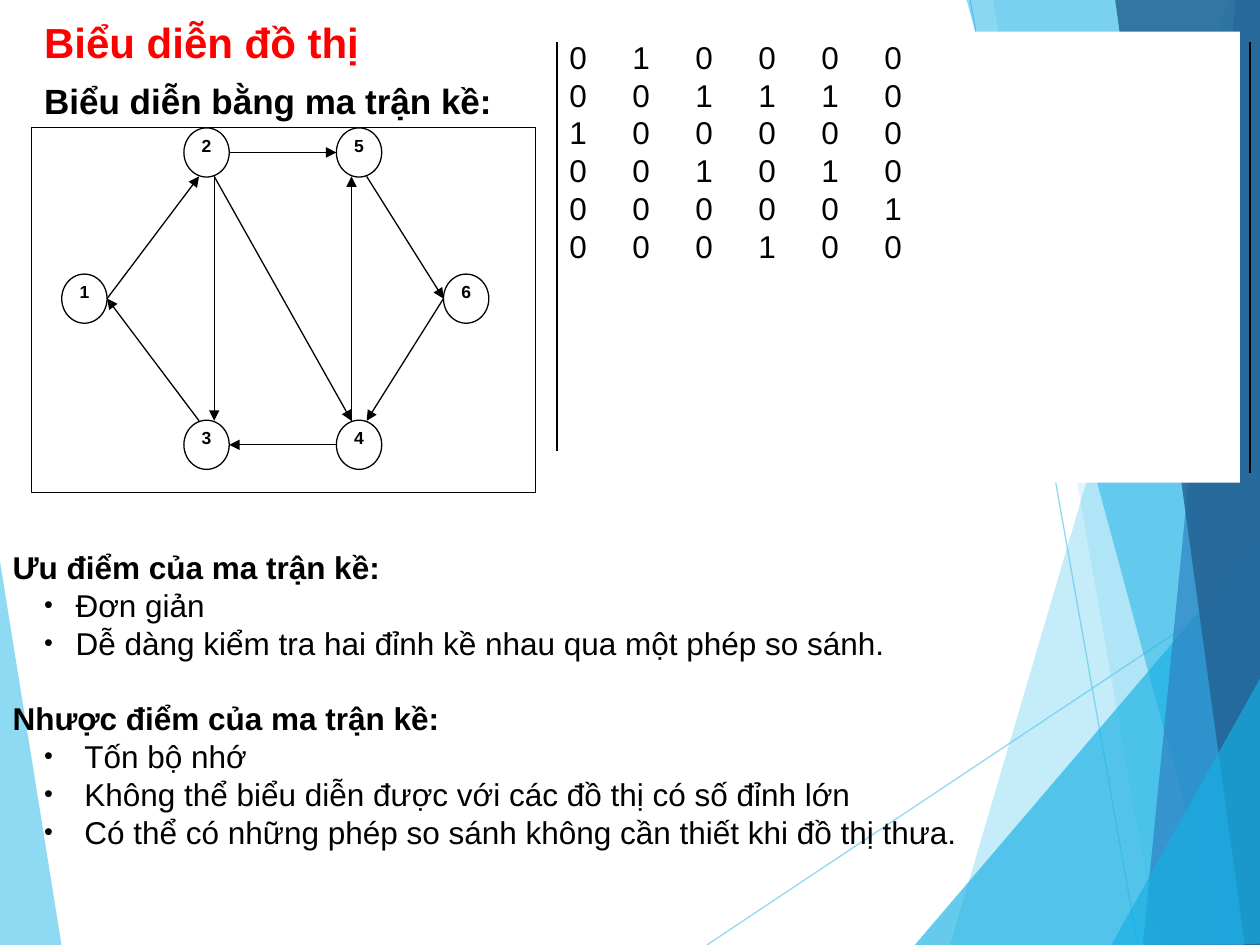
from typing import NamedTuple

from lxml.etree import SubElement
from pptx import Presentation
from pptx.dml.color import RGBColor
from pptx.enum.shapes import MSO_CONNECTOR, MSO_SHAPE
from pptx.enum.text import MSO_ANCHOR, MSO_AUTO_SIZE, PP_ALIGN
from pptx.oxml.ns import qn
from pptx.util import Inches, Pt

RECT, OVAL = MSO_SHAPE.RECTANGLE, MSO_SHAPE.OVAL
LEFT, CENTER = PP_ALIGN.LEFT, PP_ALIGN.CENTER
TOP, MIDDLE = MSO_ANCHOR.TOP, MSO_ANCHOR.MIDDLE
STRAIGHT = MSO_CONNECTOR.STRAIGHT
NO_FIT = MSO_AUTO_SIZE.NONE
BLACK, WHITE, RED = "000000", "FFFFFF", "FF0000"
SKY, AZURE = "5FCBEF", "17B0E4"

Point = tuple[float, float]


class Facet(NamedTuple):
    color: str
    alpha: int
    points: list[Point]


class Line(NamedTuple):
    text: str
    size: float = 18
    bold: bool = False
    color: str = BLACK
    before: float = 0
    align: PP_ALIGN = LEFT
    indent: float = 0


class Edge(NamedTuple):
    start: int
    out: str
    end: int
    into: str


FACETS = [
    Facet(SKY, 70, [(-0.01, 4.39), (0.49, 7.51), (-0.01, 7.5)]),
    Facet(SKY, 36, [(9.75, 0), (7.54, 7.5), (10.02, 7.51), (10.01, 0.01)]),
    Facet(SKY, 20, [(7.88, -0.01), (9.19, 7.5), (10.01, 7.5), (10.01, -0.01)]),
    Facet(AZURE, 66, [(7.26, 7.5), (10, 4.29), (10.01, 7.5)]),
    Facet(AZURE, 50, [(7.67, -0.01), (9.7, 7.5), (10.01, 7.49), (10.01, -0.01)]),
    Facet("2E83C3", 70, [(9.81, -0.01), (9.07, 7.5), (10.01, 7.5), (10, -0.01)]),
    Facet("236292", 82, [(8.85, -0.01), (9.88, 7.5), (10.02, 7.5), (10, -0.01)]),
    Facet(AZURE, 66, [(8.82, 7.5), (10.02, 5.35), (10.02, 7.49)]),
]
RAYS = [((5.61, 7.5), (10.01, 4.57)), ((7.7, 0), (9.03, 7.5))]

HEAD = [
    Line("Biểu diễn đồ thị", 24, True, RED),
    Line("Biểu diễn bằng ma trận kề:", 20, True, before=7.5),
]
NOTES = [
    Line("Ưu điểm của ma trận kề:", bold=True),
    Line("Đơn giản", indent=0.5),
    Line("Dễ dàng kiểm tra hai đỉnh kề nhau qua một phép so sánh.", indent=0.5),
    Line("Nhược điểm của ma trận kề:", bold=True, before=21.6),
    Line("Tốn bộ nhớ", indent=0.57),
    Line("Không thể biểu diễn được với các đồ thị có số đỉnh lớn", indent=0.57),
    Line("Có thể có những phép so sánh không cần thiết khi đồ thị thưa.", indent=0.57),
]
MATRIX = ["010000", "001110", "100000", "001010", "000001", "000100"]

NODE_W, NODE_H = 0.36, 0.39
NODES = {1: (0.67, 2.37), 2: (1.64, 1.21), 3: (1.64, 3.53),
         4: (2.85, 3.53), 5: (2.85, 1.21), 6: (3.7, 2.37)}
PORTS = {"E": (0.18, 0), "W": (-0.18, 0), "NE": (0.06, -0.19),
         "NW": (-0.06, -0.19), "SE": (0.06, 0.19), "SW": (-0.06, 0.19)}
EDGES = [
    Edge(1, "E", 2, "SW"), Edge(2, "E", 5, "W"), Edge(3, "NW", 1, "E"),
    Edge(4, "W", 3, "E"), Edge(6, "W", 4, "NE"), Edge(5, "SE", 6, "W"),
    Edge(2, "SE", 3, "NE"), Edge(4, "NW", 5, "SW"), Edge(2, "SE", 4, "NW"),
]


def rgb(color: str) -> RGBColor:
    return RGBColor.from_string(color)


def fade(shape, alpha: int) -> None:
    """Set the opacity, in percent, of the shape's only colour."""
    tint = next(shape.element.spPr.iter(qn("a:srgbClr")))
    SubElement(tint, qn("a:alpha"), val=str(alpha * 1000))


def link(shapes, start: Point, end: Point, color: str = BLACK):
    wire = shapes.add_connector(STRAIGHT, *map(Inches, start + end))
    wire.line.color.rgb = rgb(color)
    wire.line.width = Pt(0.75)
    SubElement(wire.element.spPr, qn("a:effectLst"))
    return wire


def arrow(shapes, edge: Edge) -> None:
    ends = []
    for node, port in ((edge.start, edge.out), (edge.end, edge.into)):
        (x, y), (dx, dy) = NODES[node], PORTS[port]
        ends.append((x + dx, y + dy))
    wire = link(shapes, *ends)
    SubElement(wire.element.spPr.find(qn("a:ln")), qn("a:tailEnd"), type="triangle")


def draw_facet(shapes, facet: Facet) -> None:
    start, *rest = [(Inches(x), Inches(y)) for x, y in facet.points]
    path = shapes.build_freeform(*start)
    path.add_line_segments(rest)
    shape = path.convert_to_shape()
    shape.shadow.inherit = False
    shape.fill.solid()
    shape.fill.fore_color.rgb = rgb(facet.color)
    shape.line.fill.background()
    fade(shape, facet.alpha)


def add_box(shapes, kind, x: float, y: float, w: float, h: float,
            fill: str = "", line: str = ""):
    box = shapes.add_shape(kind, *map(Inches, (x, y, w, h)))
    box.shadow.inherit = False
    if fill:
        box.fill.solid()
        box.fill.fore_color.rgb = rgb(fill)
    else:
        box.fill.background()
    if line:
        box.line.color.rgb = rgb(line)
        box.line.width = Pt(0.75)
    else:
        box.line.fill.background()
    return box


def write(shape, lines: list[Line], anchor: MSO_ANCHOR = TOP, inset: bool = True) -> None:
    frame = shape.text_frame
    frame.word_wrap = True
    frame.auto_size = NO_FIT
    frame.vertical_anchor = anchor
    frame.margin_left = frame.margin_right = Inches(0.1 if inset else 0)
    frame.margin_top = frame.margin_bottom = Inches(0.05 if inset else 0)
    for i, line in enumerate(lines):
        para = frame.add_paragraph() if i else frame.paragraphs[0]
        para.alignment = line.align
        para.line_spacing = Pt(line.size * 1.2)
        para.space_before = Pt(line.before)
        run = para.add_run()
        run.text = line.text
        font = run.font
        font.name, font.size, font.bold = "Arial", Pt(line.size), line.bold
        font.color.rgb = rgb(line.color)
        layout(para, line)


def layout(para, line: Line) -> None:
    """Set the indent, the bullet and, for tabbed text, one tab per inch."""
    props = para._p.get_or_add_pPr()
    hang = 0.25 - line.indent if line.indent else 0
    props.set("marL", str(Inches(line.indent)))
    props.set("indent", str(Inches(hang)))
    if line.indent:
        tint = SubElement(props, qn("a:buClr"))
        SubElement(tint, qn("a:srgbClr"), val=BLACK)
        SubElement(props, qn("a:buSzPct"), val="80000")
        SubElement(props, qn("a:buFont"), typeface="Arial")
        SubElement(props, qn("a:buChar"), char="•")
    else:
        SubElement(props, qn("a:buNone"))
    if "\t" in line.text:
        tabs = SubElement(props, qn("a:tabLst"))
        for inch in range(1, 6):
            SubElement(tabs, qn("a:tab"), pos=str(Inches(inch)), algn="l")


def place(holder, x: float, y: float, w: float, h: float) -> None:
    """Move a placeholder and bring it to the front."""
    holder.left, holder.top, holder.width, holder.height = map(Inches, (x, y, w, h))
    holder.element.getparent().append(holder.element)


def main() -> None:
    deck = Presentation()
    deck.slide_width, deck.slide_height = Inches(10), Inches(7.5)
    slide = deck.slides.add_slide(deck.slide_layouts[1])
    shapes = slide.shapes
    title, body = slide.placeholders

    draw_facet(shapes, FACETS[0])
    for start, end in RAYS:
        fade(link(shapes, start, end, SKY), 70)
    for facet in FACETS[1:]:
        draw_facet(shapes, facet)

    place(title, 0.25, 0.08, 9.5, 0.94)
    write(title, HEAD)

    grid = add_box(shapes, RECT, 4.42, 0.25, 5.42, 3.58, WHITE)
    write(grid, [Line("\t".join(row)) for row in MATRIX])
    for x, foot in ((4.42, 3.58), (9.92, 3.75)):
        link(shapes, (x, 0.33), (x, foot))

    graph = shapes.add_group_shape().shapes
    add_box(graph, RECT, 0.25, 1.01, 4, 2.9, line=BLACK)
    for name, (x, y) in NODES.items():
        node = add_box(graph, OVAL, x - NODE_W / 2, y - NODE_H / 2,
                       NODE_W, NODE_H, WHITE, BLACK)
        write(node, [Line(str(name), 10, True, align=CENTER)], inset=False)
    for edge in EDGES:
        arrow(graph, edge)

    place(body, 0, 4.3, 10, 2.5)
    write(body, NOTES, MIDDLE)
    deck.save("out.pptx")


if __name__ == "__main__":
    main()
